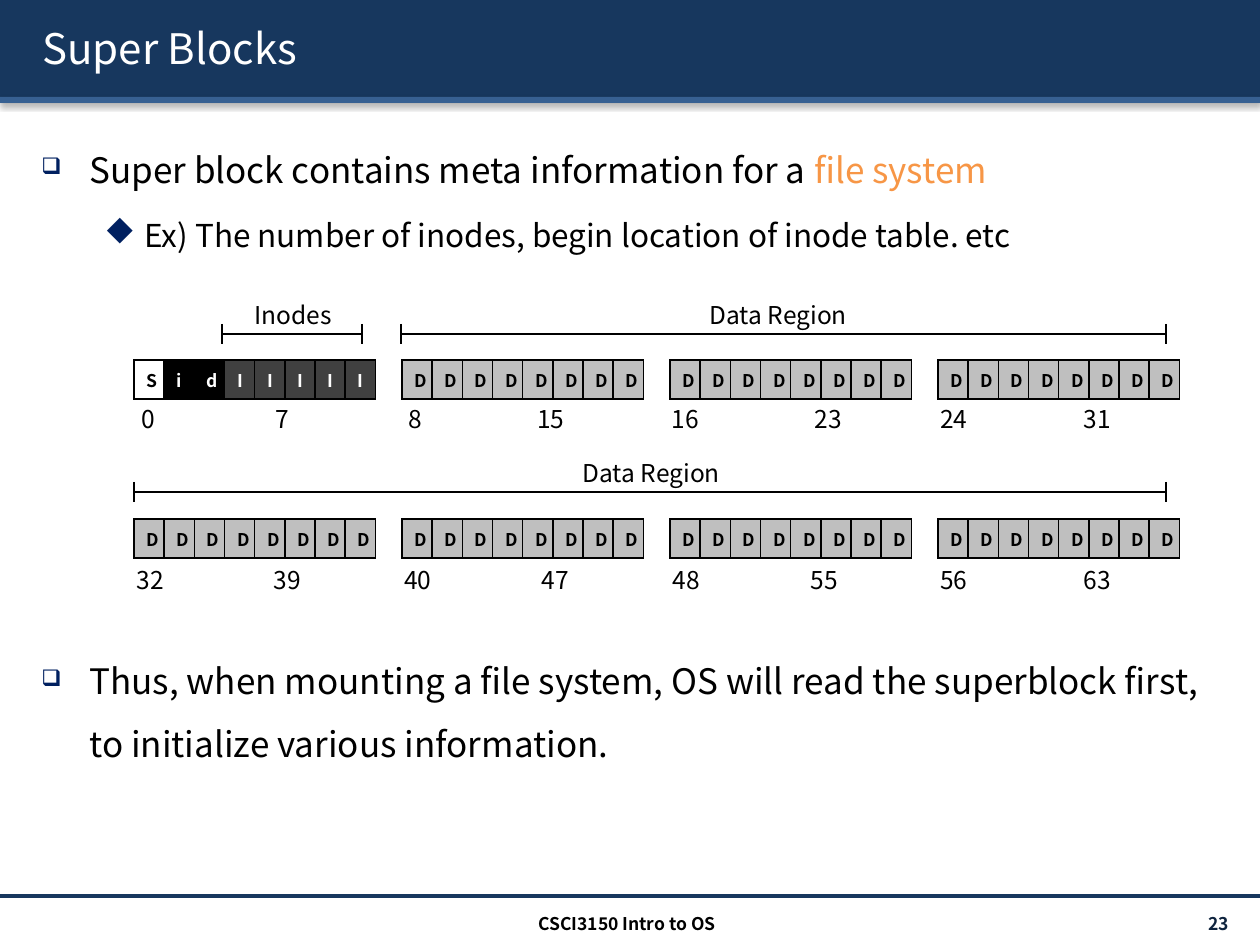
"""Build the Super Blocks slide with its disk layout of eight block groups."""
from pptx import Presentation
from pptx.dml.color import RGBColor
from pptx.enum.shapes import MSO_CONNECTOR, MSO_SHAPE
from pptx.enum.text import MSO_ANCHOR, PP_ALIGN
from pptx.oxml import parse_xml
from pptx.oxml.ns import nsdecls
from pptx.util import Pt

PX = 914400 / 126
FONT = "Noto Sans CJK KR"
NS = nsdecls("a")
BLACK = RGBColor(0x00, 0x00, 0x00)
WHITE = RGBColor(0xFF, 0xFF, 0xFF)
NAVY = RGBColor(0x17, 0x37, 0x5E)
BLUE = RGBColor(0x37, 0x60, 0x92)
INK = RGBColor(0x0F, 0x24, 0x3E)
ORANGE = RGBColor(0xF7, 0x96, 0x46)
DARK = RGBColor(0x40, 0x40, 0x40)
GREY = RGBColor(0xBF, 0xBF, 0xBF)
SHADOW = (f'<a:effectLst {NS}><a:outerShdw blurRad="40000" dist="20000" dir="5400000">'
          '<a:srgbClr val="000000"><a:alpha val="38000"/></a:srgbClr></a:outerShdw></a:effectLst>')
GLOW = (f'<a:effectLst {NS}><a:outerShdw blurRad="38100" dist="38100" dir="2700000">'
        '<a:srgbClr val="000000"/></a:outerShdw></a:effectLst>')

prs = Presentation()
prs.slide_width, prs.slide_height = round(1260 * PX), round(945 * PX)
slide = prs.slides.add_slide(prs.slide_layouts[6])
shapes = slide.shapes


def write(box, text, size, color=BLACK, bold=False, align=PP_ALIGN.LEFT, tab=0):
    frame = shapes.add_textbox(*(round(n * PX) for n in box)).text_frame
    frame.word_wrap = True
    frame.text = text
    for para in frame.paragraphs:
        para.alignment = align
        if tab:
            para._p.get_or_add_pPr().append(parse_xml(
                f'<a:tabLst {NS}><a:tab pos="{round(tab * PX)}" algn="l"/></a:tabLst>'))
        for run in para.runs:
            font = run.font
            font.name, font.size, font.bold = FONT, Pt(size), bold
            font.color.rgb = color
    return frame


def rule(x1, y1, x2, y2, color=BLACK, width=1):
    line = shapes.add_connector(MSO_CONNECTOR.STRAIGHT, *(round(n * PX) for n in (x1, y1, x2, y2)))
    line.line.color.rgb = color
    line.line.width = Pt(width)
    line._element.spPr.append(parse_xml(f'<a:effectLst {NS}/>'))


for top, high, color in ((0, 97, NAVY), (97, 6, BLUE)):
    bar = shapes.add_shape(MSO_SHAPE.RECTANGLE, 0, round(top * PX), prs.slide_width, round(high * PX))
    bar.fill.solid()
    bar.fill.fore_color.rgb = color
    bar.line.fill.background()
    bar._element.spPr.append(parse_xml(SHADOW))
rule(0, 896, 1260, 896, NAVY, 2)

title = write((30, 8, 1211, 80), "Super Blocks", 24, WHITE)
title.vertical_anchor = MSO_ANCHOR.MIDDLE
title.paragraphs[0].runs[0]._r.get_or_add_rPr().insert(1, parse_xml(GLOW))

body = write((29, 121, 1211, 759), "", 20)
POINTS = (
    (0, 0, 20, 48, 48, "q", 65, ("Super block contains meta information for a ", "file system")),
    (1, 4, 18, 103, 40, "u", 100, ("Ex) The number of inodes, begin location of inode table. etc",)),
    (0, 220, 20, 48, 48, "q", 65, ("Thus, when mounting a file system, OS will read the superblock first, "
                                   "to initialize various information.",)),
)
for i, (level, gap, size, left, hang, mark, scale, parts) in enumerate(POINTS):
    para = body.add_paragraph() if i else body.paragraphs[0]
    para.level, para.line_spacing, para.space_before = level, 1.5, Pt(gap)
    props = para._p.get_or_add_pPr()
    props.set("marL", str(round(left * PX)))
    props.set("indent", str(round(-hang * PX)))
    for tag in ('buClr {}><a:srgbClr val="002060"/></a:buClr>', f'buSzPct {{}} val="{scale * 1000}"/>',
                'buFont {} typeface="Wingdings" pitchFamily="2" charset="2"/>',
                f'buChar {{}} char="{mark}"/>'):
        props.append(parse_xml("<a:" + tag.format(NS)))
    for part, color in zip(parts, (BLACK, ORANGE)):
        run = para.add_run()
        run.text = part
        run.font.name, run.font.size = FONT, Pt(size)
        run.font.color.rgb = color

LOOKS = {"S": (WHITE, BLACK), "i": (BLACK, WHITE), "d": (BLACK, WHITE),
         "I": (DARK, WHITE), "D": (GREY, BLACK)}
for group in range(8):
    row, col = divmod(group, 4)
    marks = "DDDDDDDD" if group else "SidIIIII"
    frame = shapes.add_table(1, 8, round((134 + 268 * col) * PX), round((360 + 159 * row) * PX),
                             round(232 * PX), round(39 * PX))
    table = frame.table
    table.first_row = table.horz_banding = False
    for cell, mark in zip(table.iter_cells(), marks):
        fill, ink = LOOKS[mark]
        props = cell._tc.get_or_add_tcPr()
        for side in "LRTB":
            props.append(parse_xml(f'<a:ln{side} {NS} w="12700"><a:solidFill>'
                                   f'<a:srgbClr val="000000"/></a:solidFill></a:ln{side}>'))
        cell.fill.solid()
        cell.fill.fore_color.rgb = fill
        cell.vertical_anchor = MSO_ANCHOR.MIDDLE
        cell.text = mark
        para = cell.text_frame.paragraphs[0]
        para.alignment = PP_ALIGN.CENTER
        font = para.runs[0].font
        font.name, font.size, font.bold = FONT, Pt(10), True
        font.color.rgb = ink

SPANS = ((129, 134), (396, 129), (659, 143), (928, 143),
         (124, 137), (392, 137), (660, 138), (928, 143))
for group, (left, tab) in enumerate(SPANS):
    first = group * 8
    write((left, 559 if group > 3 else 398, 258, 43), f"{first}\t{first + 7}", 14, tab=tab)

for left, right, y, text, start, wide in (
        (222, 362, 334, "Inodes", 242, 106),
        (401, 1166, 334, "Data Region", 697, 171),
        (134, 1166, 492, "Data Region", 570, 171)):
    rule(left, y, right, y)
    for end in (left, right):
        rule(end, y - 10, end, y + 10)
    write((start, y - 40, wide, 43), text, 14)

write((418, 907, 418, 30), "CSCI3150 Intro to OS", 10, bold=True, align=PP_ALIGN.CENTER)
page = write((1098, 908, 147, 30), "23 ", 10, INK, True, PP_ALIGN.RIGHT)
page.vertical_anchor = MSO_ANCHOR.MIDDLE

prs.save("out.pptx")
